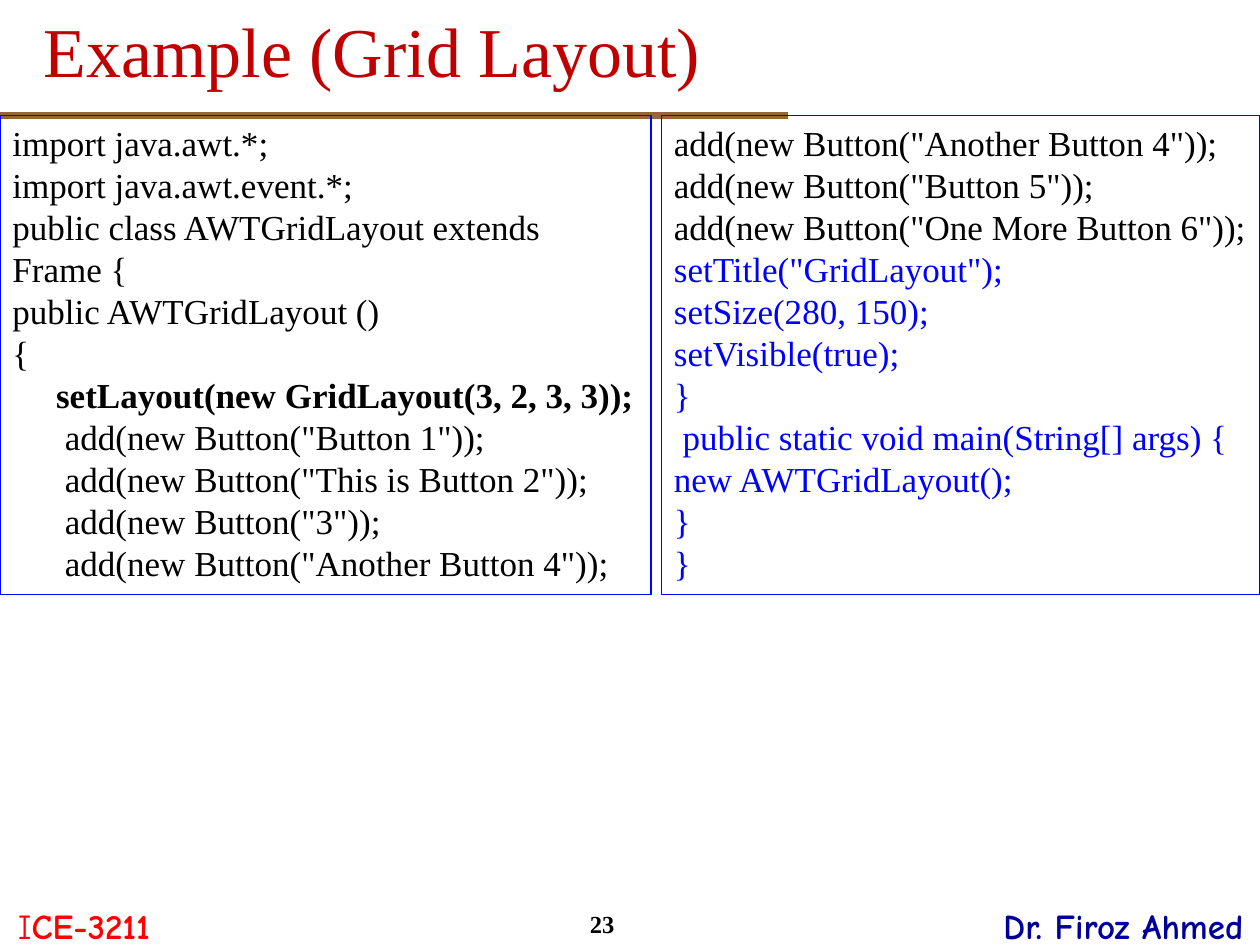
from lxml.etree import SubElement
from pptx import Presentation
from pptx.dml.color import RGBColor
from pptx.enum.shapes import MSO_CONNECTOR as CONN, MSO_SHAPE as SHAPE
from pptx.enum.text import MSO_ANCHOR as ANCHOR, PP_ALIGN as ALIGN
from pptx.oxml.ns import qn
from pptx.util import Inches, Pt

COLORS = {"black": "000000", "blue": "0000FF", "navy": "000099",
          "red": "FF0000", "title": "C00000", "brown": "996633"}
SERIF, COMIC = "Times New Roman", "Comic Neue"

prs = Presentation()
prs.slide_width, prs.slide_height = Inches(10), Inches(7.5)
W, H = prs.slide_width / 120, prs.slide_height / 90
s = prs.slides.add_slide(prs.slide_layouts[6])


def grid(*cells):
    return [round(c * u) for c, u in zip(cells, (W, H, W, H))]


def add_run(p, text, size, font, color, bold=False):
    r = p.add_run()
    r.text = text
    r.font.size, r.font.name, r.font.bold = Pt(size), font, bold
    r.font.color.rgb = RGBColor.from_string(COLORS[color])


rule = s.shapes.add_connector(CONN.STRAIGHT, *grid(0, 11, 75, 11))
rule.line.width = Pt(4.5)
rule.line.color.rgb = RGBColor.from_string(COLORS["brown"])
SubElement(rule._element.spPr, qn("a:effectLst"))

labels = [
    ((0, 85.5, 16, 5.25), ALIGN.CENTER, 0.05,
     [("I", 20, COMIC, "red"), ("CE-3211", 20, COMIC, "red", True)]),
    ((94, 85.5, 26, 5.25), ALIGN.CENTER, 0.05,
     [("Dr. Firoz Ahmed", 20, COMIC, "navy", True)]),
    ((55, 86, 8, 4), ALIGN.LEFT, 0.05, [("23", 14, SERIF, "black", True)]),
    ((3, -0.25, 114, 11), ALIGN.LEFT, 0.13,
     [("Example (Grid Layout)", 40, SERIF, "title")]),
]
for cells, align, bottom, runs in labels:
    tf = s.shapes.add_textbox(*grid(*cells)).text_frame
    tf.word_wrap, tf.vertical_anchor = True, ANCHOR.MIDDLE
    tf.margin_bottom = Inches(bottom)
    p = tf.paragraphs[0]
    p.alignment = align
    for run in runs:
        add_run(p, *run)

left_code = [
    ("import java.awt.*;", "black"),
    ("import java.awt.event.*;", "black"),
    ("public class AWTGridLayout extends Frame {", "black"),
    ("public AWTGridLayout ()", "black"),
    ("{", "black"),
    ("     setLayout(new GridLayout(3, 2, 3, 3));", "black", True),
    ('      add(new Button("Button 1"));', "black"),
    ('      add(new Button("This is Button 2"));', "black"),
    ('      add(new Button("3"));', "black"),
    ('      add(new Button("Another Button 4"));', "black"),
]
right_code = [
    ('add(new Button("Another Button 4")); add(new Button("Button 5"));', "black"),
    ('add(new Button("One More Button 6"));', "black"),
    ('setTitle("GridLayout");', "blue"),
    ("setSize(280, 150);", "blue"),
    ("setVisible(true);", "blue"),
    ("}", "blue"),
    (" public static void main(String[] args) {", "blue"),
    ("new AWTGridLayout();", "blue"),
    ("}", "blue"),
    ("}", "blue"),
]
for left, width, code in [(0, 62, left_code), (63, 57, right_code)]:
    sp = s.shapes.add_shape(SHAPE.RECTANGLE, *grid(left, 11, width, 45.6))
    sp.shadow.inherit = False
    sp.fill.background()
    sp.line.width = Pt(0.75)
    sp.line.color.rgb = RGBColor.from_string(COLORS["blue"])
    tf = sp.text_frame
    tf.word_wrap, tf.vertical_anchor = True, ANCHOR.TOP
    for i, line in enumerate(code):
        p = tf.add_paragraph() if i else tf.paragraphs[0]
        p.alignment, p.line_spacing = ALIGN.LEFT, Pt(24)
        add_run(p, line[0], 20, SERIF, *line[1:])

prs.save("out.pptx")
